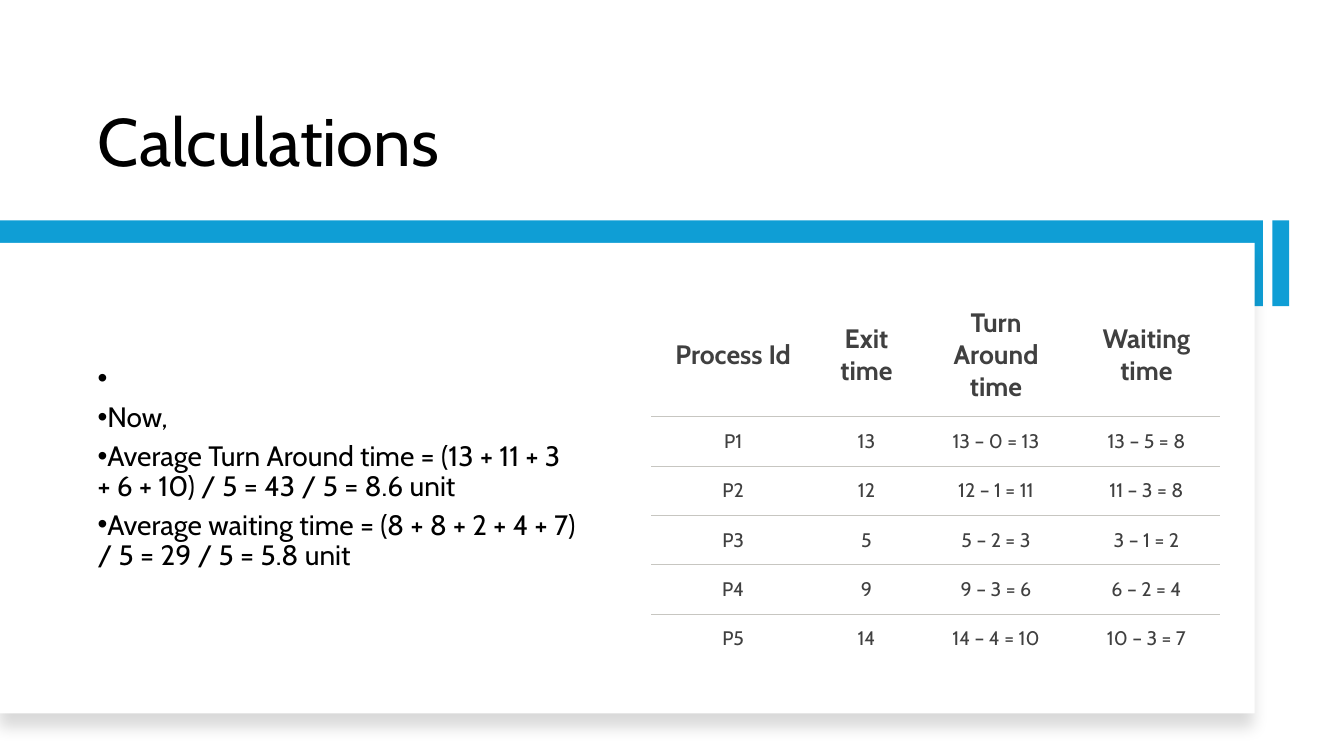
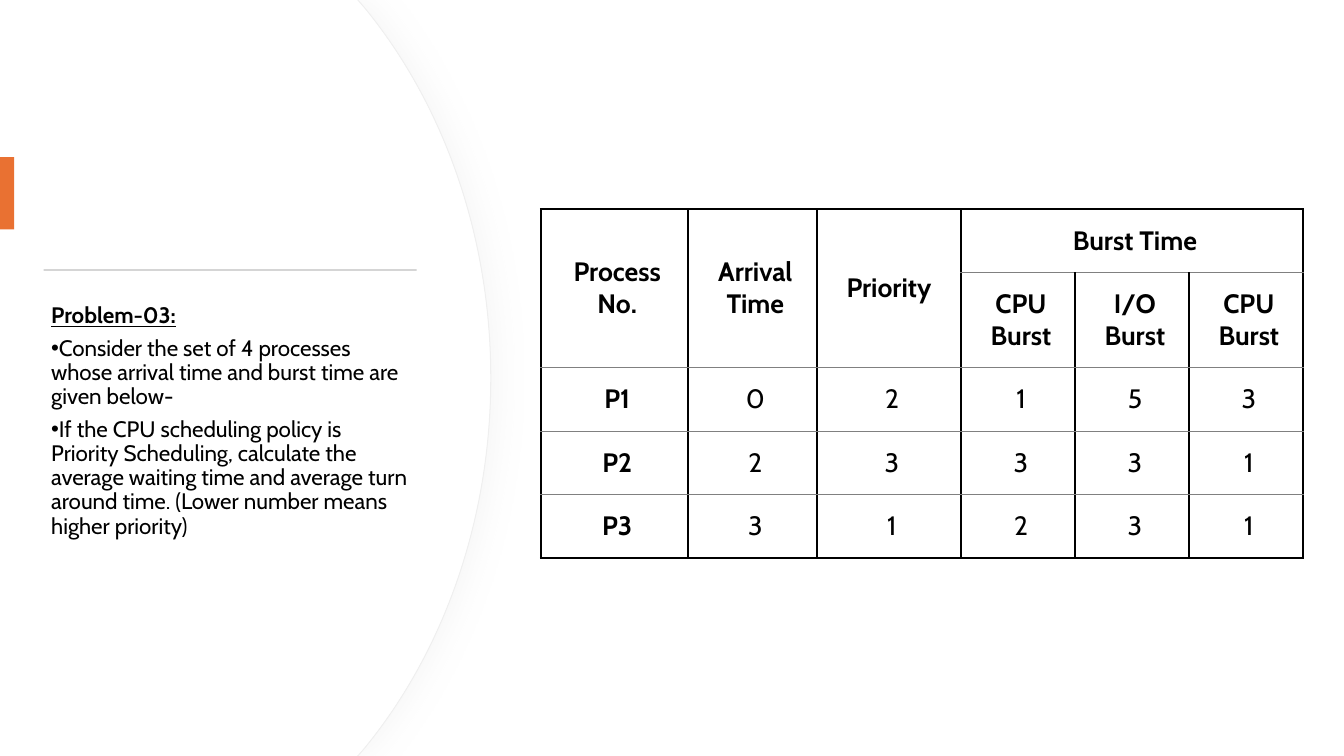
from dataclasses import dataclass

from lxml.etree import SubElement
from pptx import Presentation
from pptx.dml.color import RGBColor
from pptx.enum.shapes import MSO_SHAPE
from pptx.enum.text import MSO_ANCHOR, MSO_AUTO_SIZE, PP_ALIGN
from pptx.oxml.ns import qn
from pptx.util import Pt


@dataclass(frozen=True)
class Theme:
    font: str = "Cabin"
    bullet_font: str = "Arial"
    black: str = "000000"
    white: str = "FFFFFF"
    blue: str = "0F9ED5"
    orange: str = "E97132"
    text_gray: str = "404040"
    grid_gray: str = "808080"
    warm_gray: str = "C7C6C1"
    rule_gray: str = "D5D5D5"
    shadow_gray: str = "D9D9D9"
    edge_gray: str = "EFEFEF"
    title: int = 48
    body: int = 20
    header: int = 19
    note: int = 16
    cell: int = 14


T = Theme()

CALCULATIONS = [
    ["Process Id", "Exit time", "Turn Around time", "Waiting time"],
    ["P1", "13", "13 – 0 = 13", "13 – 5 = 8"],
    ["P2", "12", "12 – 1 = 11", "11 – 3 = 8"],
    ["P3", "5", "5 – 2 = 3", "3 – 1 = 2"],
    ["P4", "9", "9 – 3 = 6", "6 – 2 = 4"],
    ["P5", "14", "14 – 4 = 10", "10 – 3 = 7"],
]
AVERAGES = [
    " ",
    "Now,",
    "Average Turn Around time = (13 + 11 + 3 + 6 + 10) / 5 = 43 / 5 = 8.6 unit",
    "Average waiting time = (8 + 8 + 2 + 4 + 7) / 5 = 29 / 5 = 5.8 unit",
]
PROCESSES = [
    ["Process No.", "Arrival Time", "Priority ", "Burst Time", "", ""],
    ["", "", "", "CPU Burst", "I/O Burst", "CPU Burst"],
    ["P1", "0", "2", "1", "5", "3"],
    ["P2", "2", "3", "3", "3", "1"],
    ["P3", "3", "1", "2", "3", "1"],
]
PROBLEM = [
    "Consider the set of 4 processes whose arrival time and burst time are given below-",
    "If the CPU scheduling policy is Priority Scheduling, calculate the average waiting "
    "time and average turn around time. (Lower number means higher priority)",
]


def write(p, text, size, color=T.black, bold=False, underline=False,
          align=PP_ALIGN.LEFT, bullet=False, line_spacing=None, space_after=None):
    p.alignment = align
    p.line_spacing = line_spacing
    if space_after is not None:
        p.space_after = Pt(space_after)
    if bullet:
        pPr = p._p.get_or_add_pPr()
        pPr.set("marL", "0")
        pPr.set("indent", str(-Pt(18)))
        SubElement(pPr, qn("a:buFont")).set("typeface", T.bullet_font)
        SubElement(pPr, qn("a:buChar")).set("char", "•")
    r = p.add_run()
    r.text = text
    f = r.font
    f.name, f.size, f.bold, f.underline = T.font, Pt(size), bold, underline
    f.color.rgb = RGBColor.from_string(color)


def add_body(s, box, items, size, heading=None, anchor=MSO_ANCHOR.TOP):
    tf = s.shapes.add_textbox(*map(Pt, box)).text_frame
    tf.word_wrap = True
    tf.vertical_anchor = anchor
    lines = [(text, {"bullet": True}) for text in items]
    if heading:
        lines.insert(0, (heading, {"bold": True, "underline": True}))
    for i, (text, style) in enumerate(lines):
        p = tf.add_paragraph() if i else tf.paragraphs[0]
        write(p, text, size, line_spacing=0.9, space_after=6, **style)


def set_title(s, text, box):
    sp = s.shapes.title
    sp.left, sp.top, sp.width, sp.height = map(Pt, box)
    tf = sp.text_frame
    tf.auto_size = MSO_AUTO_SIZE.NONE
    tf.vertical_anchor = MSO_ANCHOR.BOTTOM
    write(tf.paragraphs[0], text, T.title, line_spacing=0.9)


def paint(sp, fill, line=None, shadow=None):
    """Format a shape; shadow is (color, opacity %, blur, distance, degrees)."""
    sp.fill.solid()
    sp.fill.fore_color.rgb = RGBColor.from_string(fill)
    if line:
        sp.line.color.rgb = RGBColor.from_string(line)
        sp.line.width = Pt(0.75)
    else:
        sp.line.fill.background()
    sp.shadow.inherit = False
    if shadow:
        color, opacity, blur, distance, degrees = shadow
        effects = sp._element.spPr.find(qn("a:effectLst"))
        outer = SubElement(effects, qn("a:outerShdw"), blurRad=str(Pt(blur)),
                           dist=str(Pt(distance)), dir=str(degrees * 60000),
                           rotWithShape="0")
        clr = SubElement(outer, qn("a:srgbClr"), val=color)
        SubElement(clr, qn("a:alpha"), val=str(opacity * 1000))


def add_rect(s, box, fill, **style):
    paint(s.shapes.add_shape(MSO_SHAPE.RECTANGLE, *map(Pt, box)), fill, **style)


def curve_segments(sp, first, count):
    """Turn each three line segments from the given index into one Bezier curve."""
    lines = list(sp._element.iter(qn("a:lnTo")))
    for i in range(first, first + 3 * count, 3):
        curve = lines[i].getparent().makeelement(qn("a:cubicBezTo"))
        lines[i].addprevious(curve)
        for line in lines[i:i + 3]:
            curve.append(line[0])
            line.getparent().remove(line)


def add_curved_panel(s, right, fill, **style):
    """Full-height panel whose right edge bulges out to the given x."""
    height = 540
    corner, shoulder, pull = right - 95, right - 90, right - 34.6
    upper = [(corner, 0), (shoulder, 5.8), (pull, 73.4), (right, 167)]
    lower = [(x, height - y) for x, y in reversed(upper)]
    outline = [*upper, (right, height / 2), *lower, (0, height)]
    fb = s.shapes.build_freeform(0, 0)
    fb.add_line_segments([(Pt(x), Pt(y)) for x, y in outline], close=True)
    sp = fb.convert_to_shape()
    curve_segments(sp, first=2, count=2)
    paint(sp, fill, **style)


def set_borders(cell, borders):
    """Draw the sides given as {"L": (color, width), ...}."""
    tcPr = cell._tc.get_or_add_tcPr()
    for side, line in borders.items():
        if line:
            color, width = line
            ln = SubElement(tcPr, qn("a:ln" + side), w=str(Pt(width)))
            SubElement(SubElement(ln, qn("a:solidFill")), qn("a:srgbClr"), val=color)


def add_grid(s, at, data, cols, rows, margins, style, inner, outer=None, merges=()):
    """Table; inner lines split the rows, outer lines frame it and split the columns.

    style(row, col) gives the text format; merges lists (row, col, row, col) spans.
    """
    frame = s.shapes.add_table(len(rows), len(cols), *map(Pt, (*at, sum(cols), sum(rows))))
    table = frame.table
    table.first_row = table.horz_banding = False
    for col, width in zip(table.columns, cols):
        col.width = Pt(width)
    for row, height in zip(table.rows, rows):
        row.height = Pt(height)
    for r1, c1, r2, c2 in merges:
        table.cell(r1, c1).merge(table.cell(r2, c2))

    for r in range(len(rows)):
        for c in range(len(cols)):
            cell = table.cell(r, c)
            set_borders(cell, {"L": outer, "R": outer, "T": inner if r else outer,
                               "B": inner if r < len(rows) - 1 else outer})
            cell.fill.background()
            if cell.is_spanned:
                continue
            (cell.margin_left, cell.margin_top,
             cell.margin_right, cell.margin_bottom) = map(Pt, margins)
            cell.vertical_anchor = MSO_ANCHOR.MIDDLE
            write(cell.text_frame.paragraphs[0], data[r][c], align=PP_ALIGN.CENTER,
                  **style(r, c))


def calculations_slide(prs):
    s = prs.slides.add_slide(prs.slide_layouts[5])
    set_title(s, "Calculations", (62.6, 30.6, 792.7, 102.2))
    band_top, band_height = 157.5, 61.2
    add_rect(s, (0, band_top, 902, band_height), T.blue)
    add_rect(s, (0, 173.5, 896.2, 336.2), T.white, shadow=(T.black, 15, 11, 10, 90))
    add_rect(s, (908.8, band_top, 12, band_height), T.blue)
    add_body(s, (62.6, 205, 357.1, 258.6), AVERAGES, T.body, anchor=MSO_ANCHOR.MIDDLE)

    def style(r, c):
        return {"size": T.cell if r else T.header, "color": T.text_gray, "bold": r == 0}

    add_grid(s, (465.5, 209.8), CALCULATIONS, cols=[112.8, 77.7, 107.3, 107.6],
             rows=[87.8] + [35.3] * 5, margins=(15.1, 7.9, 11.5, 7.9),
             style=style, inner=(T.warm_gray, 0.75))


def problem_slide(prs):
    s = prs.slides.add_slide(prs.slide_layouts[6])
    add_curved_panel(s, 350.6, T.white, line=T.edge_gray,
                     shadow=(T.shadow_gray, 20, 20, 6, 0))
    add_curved_panel(s, 349.9, T.white)
    add_rect(s, (0, 112.3, 10.1, 51.6), T.orange)
    add_rect(s, (31.2, 192.2, 266.4, 1.4), T.rule_gray)
    add_body(s, (29.5, 214, 270.7, 252.7), PROBLEM, T.note, heading="Problem-03:")

    def style(r, c):
        return {"size": T.header, "bold": r < 2 or c == 0}

    add_grid(s, (386.2, 149.3), PROCESSES, cols=[105.1, 92.2, 103] + [81.4] * 3,
             rows=[45.4, 67.7] + [45.4] * 3, margins=(12.2, 9.4, 7.9, 9.4),
             style=style, inner=(T.grid_gray, 0.5), outer=(T.black, 1.5),
             merges=[(0, c, 1, c) for c in range(3)] + [(0, 3, 0, 5)])


def main():
    prs = Presentation()
    prs.slide_width, prs.slide_height = Pt(960), Pt(540)
    calculations_slide(prs)
    problem_slide(prs)
    prs.save("out.pptx")


if __name__ == "__main__":
    main()
